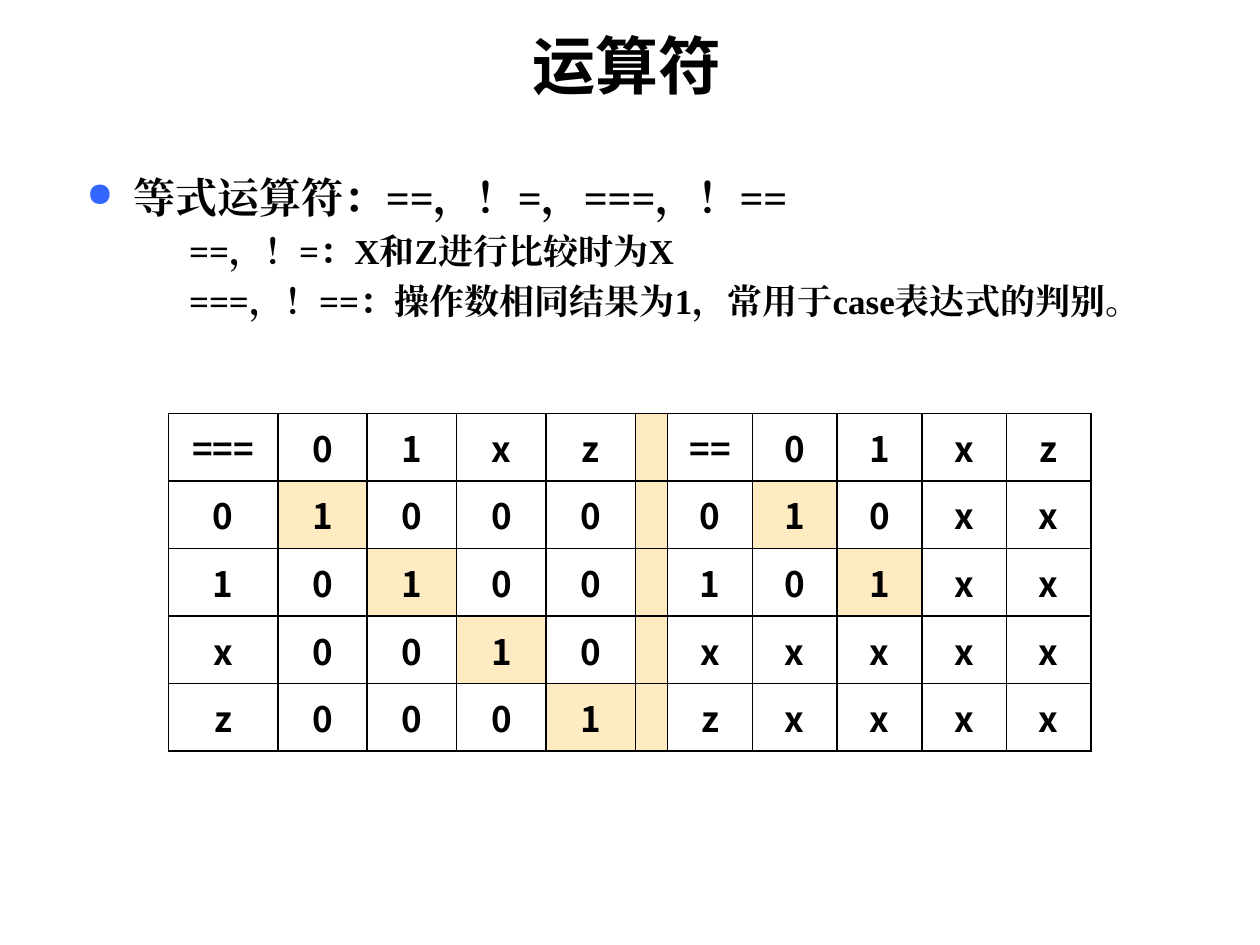
from lxml.etree import SubElement
from pptx import Presentation
from pptx.dml.color import RGBColor
from pptx.enum.text import MSO_ANCHOR as Anchor, PP_ALIGN as Align
from pptx.oxml.ns import qn
from pptx.util import Pt


def color(value):
    return RGBColor.from_string(value)


def write(paragraph, text, size, typeface):
    run = paragraph.add_run()
    run.text = text
    formats = {"size": Pt(size), "bold": True, "name": typeface}
    for name, value in formats.items():
        setattr(run.font, name, value)
    run.font.color.rgb = color("000000")
    SubElement(run._r.get_or_add_rPr(), qn("a:ea"), typeface=typeface)


SANS = "Noto Sans CJK SC"
SERIF = "Times New Roman"

presentation = Presentation()
presentation.slide_width, presentation.slide_height = Pt(720), Pt(540)
slide = presentation.slides.add_slide(presentation.slide_layouts[6])

body = slide.shapes.add_textbox(Pt(42.5), Pt(94.3), Pt(629.3), Pt(100.8)).text_frame
body.word_wrap = True
lines = [
    ("等式运算符：==，！=，===，！==", 24, 27, -27, 0),
    ("==，！=：X和Z进行比较时为X", 20, 58.5, 0, 4.6),
    ("===，！==：操作数相同结果为1，常用于case表达式的判别。", 20, 58.5, 0, 4.6),
]
for index, (text, size, margin, indent, space) in enumerate(lines):
    paragraph = body.add_paragraph() if index else body.paragraphs[0]
    paragraph.space_before = Pt(space)
    properties = paragraph._p.get_or_add_pPr()
    properties.set("marL", str(Pt(margin)))
    properties.set("indent", str(Pt(indent)))
    if indent:
        bullet_color = SubElement(properties, qn("a:buClr"))
        SubElement(bullet_color, qn("a:srgbClr"), val="3366FF")
        SubElement(properties, qn("a:buSzPct"), val="80000")
        SubElement(properties, qn("a:buChar"), char="●")
    write(paragraph, text, size, SERIF)

title = slide.shapes.add_textbox(Pt(297.4), Pt(0), Pt(147.6), Pt(73.4)).text_frame
title.word_wrap = True
title.vertical_anchor = Anchor.MIDDLE
write(title.paragraphs[0], "运算符", 36, SANS)

rows = [
    "=== 0 1 x z | == 0 1 x z",
    "0 1 0 0 0 | 0 1 0 x x",
    "1 0 1 0 0 | 1 0 1 x x",
    "x 0 0 1 0 | x x x x x",
    "z 0 0 0 1 | z x x x x",
]
widths = [62.5] + [51.1] * 4 + [18.5] + [48.4] * 5
row_height = 38.6
table = slide.shapes.add_table(
    len(rows), len(widths), Pt(96.3), Pt(236.2), Pt(sum(widths)), Pt(row_height * len(rows))
).table
table.first_row = table.horz_banding = False
for column, width in zip(table.columns, widths):
    column.width = Pt(width)

cell_format = {
    "vertical_anchor": Anchor.MIDDLE,
    "margin_left": Pt(7.2),
    "margin_right": Pt(7.2),
    "margin_top": Pt(4.8),
    "margin_bottom": Pt(4.8),
}
for row_index, row in enumerate(rows):
    table.rows[row_index].height = Pt(row_height)
    for column_index, value in enumerate(row.split()):
        cell = table.cell(row_index, column_index)
        for name, setting in cell_format.items():
            setattr(cell, name, setting)
        for side in ("lnL", "lnR", "lnT", "lnB"):
            border = SubElement(cell._tc.get_or_add_tcPr(), qn(f"a:{side}"), w=str(Pt(1)))
            SubElement(SubElement(border, qn("a:solidFill")), qn("a:srgbClr"), val="000000")
        if value == "|" or (value == "1" and row_index and column_index not in (0, 6)):
            cell.fill.solid()
            cell.fill.fore_color.rgb = color("FFEBC2")
        else:
            cell.fill.background()
        if value != "|":
            paragraph = cell.text_frame.paragraphs[0]
            paragraph.alignment = Align.CENTER
            write(paragraph, value, 20, SANS)

presentation.save("out.pptx")
